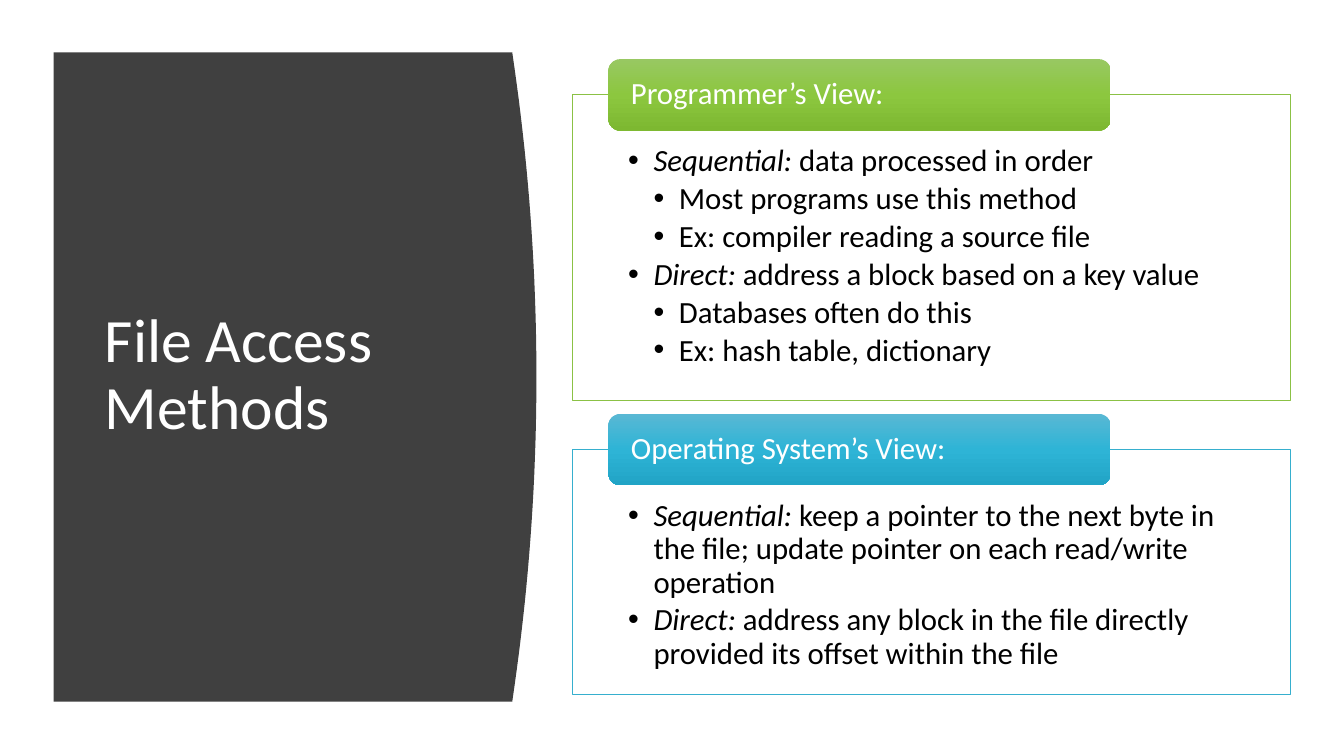
from copy import deepcopy

from lxml.etree import SubElement
from pptx import Presentation
from pptx.dml.color import RGBColor
from pptx.enum.shapes import MSO_SHAPE
from pptx.enum.text import MSO_ANCHOR, MSO_AUTO_SIZE, PP_ALIGN
from pptx.oxml.ns import qn
from pptx.util import Cm, Pt

FONT = "Calibri"
COLORS = {
    "panel": "404040",
    "white": "FFFFFF",
    "black": "000000",
    "green": "8BC145",
    "green_light": "98C862",
    "green_mid": "8CC73F",
    "green_dark": "7DB831",
    "blue": "36AFCE",
    "blue_light": "59B8D4",
    "blue_mid": "2EB4D6",
    "blue_dark": "21A4C6",
}
VIEWS = [
    ("Programmer’s View:", "green", 2.39, 7.7, [
        (0, "Sequential: ", "data processed in order"),
        (1, "", "Most programs use this method"),
        (1, "", "Ex: compiler reading a source file"),
        (0, "Direct: ", "address a block based on a key value"),
        (1, "", "Databases often do this"),
        (1, "", "Ex: hash table, dictionary"),
    ]),
    ("Operating System’s View:", "blue", 11.33, 6.17, [
        (0, "Sequential: ", "keep a pointer to the next byte in the file; "
                            "update pointer on each read/write operation"),
        (0, "Direct: ", "address any block in the file directly "
                        "provided its offset within the file"),
    ]),
]


def color(name):
    return RGBColor.from_string(COLORS[name])


def place(shape, left, top, width, height):
    shape.left, shape.top = Cm(left), Cm(top)
    shape.width, shape.height = Cm(width), Cm(height)


def set_frame(frame, anchor, left, top, right, bottom):
    frame.word_wrap = True
    frame.auto_size = MSO_AUTO_SIZE.NONE
    frame.vertical_anchor = anchor
    frame.margin_left, frame.margin_top = Cm(left), Cm(top)
    frame.margin_right, frame.margin_bottom = Cm(right), Cm(bottom)


def set_para(para, after=0):
    para.alignment = PP_ALIGN.LEFT
    para.line_spacing = 0.9
    para.space_before = Pt(0)
    para.space_after = Pt(after)


def add_span(para, text, size, color_name, italic=False):
    span = para.add_run()
    span.text = text
    span.font.name = FONT
    span.font.size = Pt(size)
    span.font.italic = italic
    span.font.color.rgb = color(color_name)


def set_bullet(para, level):
    para.level = level
    properties = para._p.get_or_add_pPr()
    properties.set("marL", str(Cm(0.64 * (level + 1))))
    properties.set("indent", str(Cm(-0.64)))
    SubElement(properties, qn("a:buFont")).set("typeface", "Arial")
    SubElement(properties, qn("a:buChar")).set("char", "•")


def build_title_panel(page, left, top, width, height):
    bulge, steps = 0.61, 40
    edge = []
    for step in range(steps + 1):
        offset = 2 * step / steps - 1
        x = left + width - bulge * offset ** 2
        edge.append((Cm(x), Cm(top + height * step / steps)))
    builder = page.shapes.build_freeform(Cm(left), Cm(top))
    builder.add_line_segments(edge + [(Cm(left), Cm(top + height))], close=True)
    panel = builder.convert_to_shape()
    panel.shadow.inherit = False
    panel.fill.solid()
    panel.fill.fore_color.rgb = color("panel")
    panel.line.fill.background()

    title = page.shapes.title
    title.element.addprevious(panel.element)
    place(title, left + 1.04, top + 1.5, 9.5, height - 3.05)
    set_frame(title.text_frame, MSO_ANCHOR.MIDDLE, 0.25, 0.13, 0.25, 0.13)
    para = title.text_frame.paragraphs[0]
    set_para(para)
    add_span(para, "File Access Methods", 44, "white")


def build_tab(page, heading, accent, left, top, width, height):
    tab = page.shapes.add_shape(
        MSO_SHAPE.ROUNDED_RECTANGLE, Cm(left), Cm(top), Cm(width), Cm(height))
    tab.shadow.inherit = False
    tab.line.fill.background()
    tab.fill.gradient()
    tab.fill.gradient_angle = 270
    first_stop = next(tab.element.iter(qn("a:gs")))
    first_stop.addnext(deepcopy(first_stop))
    shades = ("light", "mid", "dark")
    for index, (stop, shade) in enumerate(zip(tab.fill.gradient_stops, shades)):
        stop.position = index / 2
        stop.color.rgb = color(f"{accent}_{shade}")
    set_frame(tab.text_frame, MSO_ANCHOR.MIDDLE, 0.48, 0, 0.48, 0)
    para = tab.text_frame.paragraphs[0]
    set_para(para)
    add_span(para, heading, 22, "white")


def build_view(page, box, heading, accent, items, left, top, width, height):
    place(box, left, top, width, height)
    box.fill.solid()
    box.fill.fore_color.rgb = color("white")
    fill_color = next(box.element.iter(qn("a:srgbClr")))
    SubElement(fill_color, qn("a:alpha")).set("val", "90000")
    box.line.color.rgb = color(accent)
    box.line.width = Pt(0.5)
    frame = box.text_frame
    set_frame(frame, MSO_ANCHOR.TOP, 1.4, 1.27, 1.4, 0.43)
    for index, (level, term, text) in enumerate(items):
        para = frame.add_paragraph() if index else frame.paragraphs[0]
        set_para(para, 3.3)
        set_bullet(para, level)
        if term:
            add_span(para, term, 22, "black", italic=True)
        add_span(para, text, 22, "black")

    tab_height = 1.8
    build_tab(page, heading, accent, left + width * 0.05,
              top - tab_height / 2, width * 0.7, tab_height)


def main():
    deck = Presentation()
    deck.slide_width, deck.slide_height = Cm(33.87), Cm(19.05)
    page = deck.slides.add_slide(deck.slide_layouts.get_by_name("Two Content"))
    build_title_panel(page, 1.35, 1.32, 12.17, 16.36)
    boxes = [box for box in page.placeholders if box.placeholder_format.idx]
    for box, (heading, accent, top, height, items) in zip(boxes, VIEWS):
        build_view(page, box, heading, accent, items, 14.43, top, 18.08, height)
    deck.save("out.pptx")


if __name__ == "__main__":
    main()
